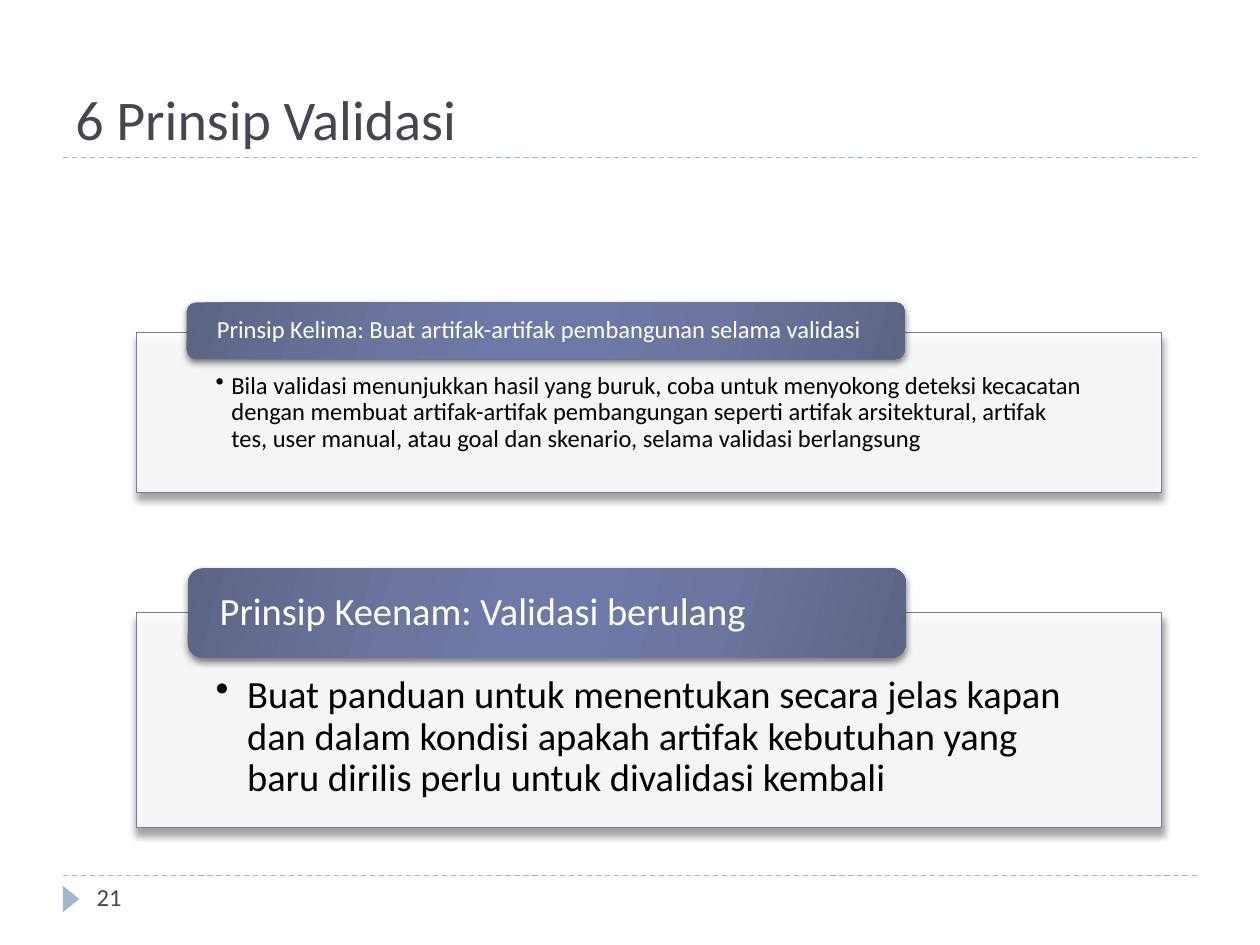
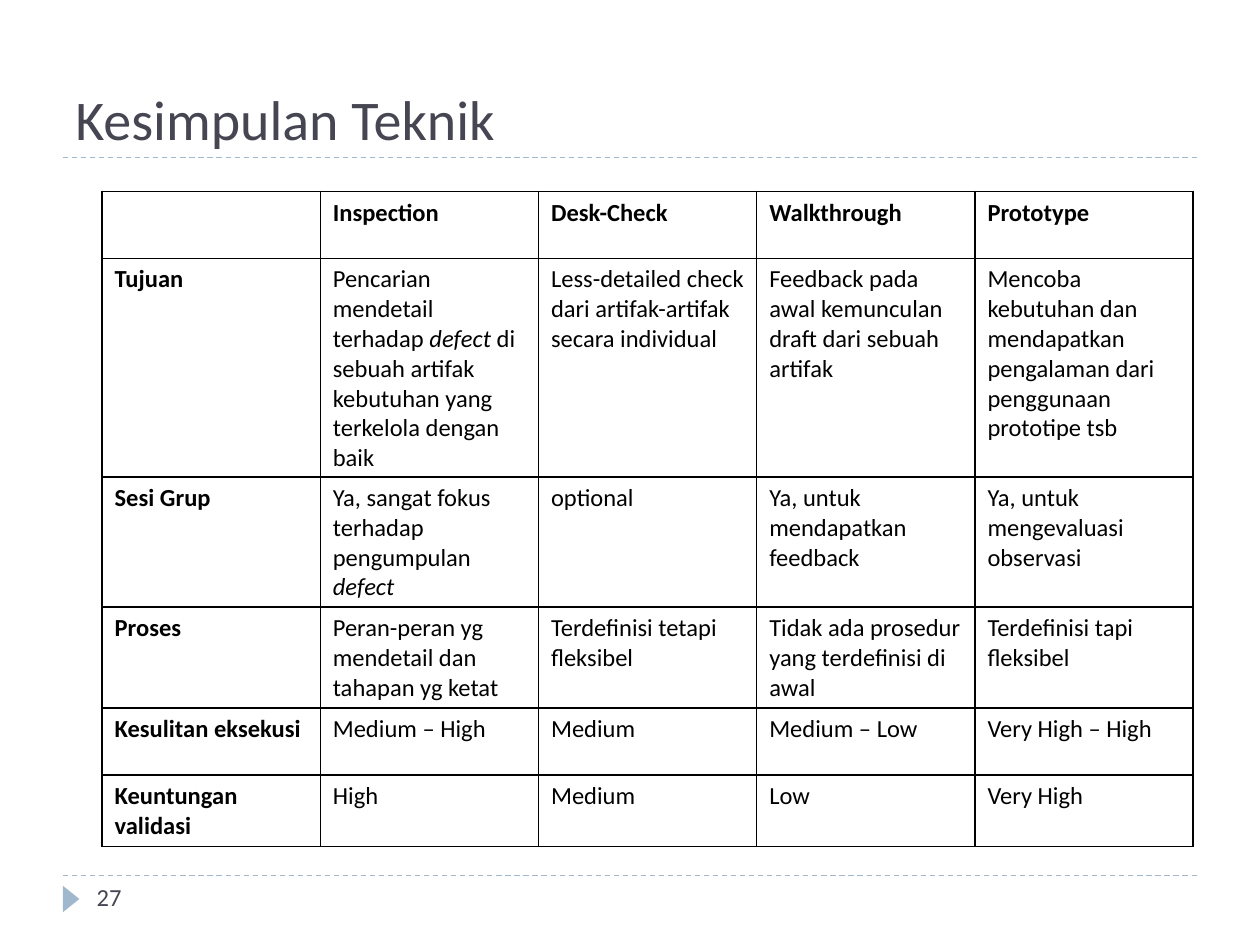
from dataclasses import dataclass
from typing import Any

from lxml.etree import SubElement as Sub
from pptx import Presentation
from pptx.dml.color import RGBColor as Rgb
from pptx.enum.dml import MSO_LINE_DASH_STYLE as Dash
from pptx.enum.shapes import MSO_CONNECTOR as Conn, MSO_SHAPE as Form
from pptx.enum.text import MSO_ANCHOR as Anchor, PP_ALIGN as Align
from pptx.oxml.ns import qn
from pptx.util import Pt

HUES = {
    "title": "464653", "rule": "9FB8CD", "edge": "727CA3",
    "ink": "000000", "paper": "FFFFFF",
    "dark": "5D6585", "mid": "6B759E", "light": "6E79A7",
}
STOPS = [(0, "dark"), (30, "mid"), (45, "light"),
         (55, "light"), (73, "mid"), (100, "dark")]
FONT = "Calibri"
LEFT, RIGHT = 36, 684
RULES = (500.4, 90)


@dataclass
class Box:
    x: float
    y: float
    w: float
    h: float

    def pts(self) -> list[Pt]:
        return [Pt(v) for v in (self.x, self.y, self.w, self.h)]


@dataclass
class Shade:
    alpha: int
    blur: float
    dist: float


@dataclass
class Panel:
    head: str
    body: str
    size: int
    tab: Box
    card: Box
    top: float
    hang: float


CARD_SHADE = Shade(40, 4, 3.4)
TAB_SHADE = Shade(50, 4, 2)
PANELS = [
    Panel("Prinsip Kelima: Buat artifak-artifak pembangunan selama validasi",
          "Bila validasi menunjukkan hasil yang buruk, coba untuk menyokong "
          "deteksi kecacatan dengan membuat artifak-artifak pembangungan "
          "seperti artifak arsitektural, artifak tes, user manual, atau goal "
          "dan skenario, selama validasi berlangsung",
          14, Box(106.6, 172.8, 410.4, 32.4), Box(77.8, 190.1, 586, 91.4), 23, 9),
    Panel("Prinsip Keenam: Validasi berulang",
          "Buat panduan untuk menentukan secara jelas kapan dan dalam kondisi "
          "apakah artifak kebutuhan yang baru dirilis perlu untuk divalidasi "
          "kembali",
          22, Box(107.3, 324.7, 410.4, 51.1), Box(77.8, 349.9, 586, 123.1), 36, 18),
]
ROWS = [
    (38.2, ["", "Inspection", "Desk-Check", "Walkthrough", "Prototype"]),
    (103, ["Tujuan",
           "Pencarian mendetail terhadap *defect *di sebuah artifak kebutuhan "
           "yang terkelola dengan baik",
           "Less-detailed check dari artifak-artifak secara individual",
           "Feedback pada awal kemunculan draft dari sebuah artifak",
           "Mencoba kebutuhan dan mendapatkan pengalaman dari penggunaan "
           "prototipe tsb"]),
    (72, ["Sesi Grup", "Ya, sangat fokus terhadap pengumpulan *defect*",
          "optional", "Ya, untuk mendapatkan feedback",
          "Ya, untuk mengevaluasi observasi"]),
    (56.2, ["Proses", "Peran-peran yg mendetail dan tahapan yg ketat",
            "Terdefinisi tetapi fleksibel",
            "Tidak ada prosedur yang terdefinisi di awal",
            "Terdefinisi tapi fleksibel"]),
    (38.2, ["Kesulitan eksekusi", "Medium – High", "Medium", "Medium – Low",
            "Very High – High"]),
    (40.3, ["Keuntungan validasi", "High", "Medium", "Low", "Very High"]),
]
COL = 124.7


def tint(key: str) -> Rgb:
    return Rgb.from_string(HUES[key])


def put(item: Any, vals: dict[str, Any]) -> None:
    for name, val in vals.items():
        setattr(item, name, val)


def write(frame: Any, text: str, size: int, hue: str, bold: bool = False) -> Any:
    para = frame.paragraphs[0]
    para.alignment = Align.LEFT
    for i, part in enumerate(text.split("*")):
        if part:
            run = para.add_run()
            run.text = part
            put(run.font, {"name": FONT, "size": Pt(size), "bold": bold,
                           "italic": i % 2 == 1})
            run.font.color.rgb = tint(hue)
    return para


def label(slide: Any, box: Box, text: str, size: int, anchor: Any) -> None:
    frame = slide.shapes.add_textbox(*box.pts()).text_frame
    put(frame, {"word_wrap": True, "vertical_anchor": anchor})
    write(frame, text, size, "title")


def shape(slide: Any, form: Any, box: Box, hue: str) -> Any:
    item = slide.shapes.add_shape(form, *box.pts())
    item.shadow.inherit = False
    item.fill.solid()
    item.fill.fore_color.rgb = tint(hue)
    item.line.fill.background()
    return item


def solid(node: Any, hue: str, alpha: int) -> None:
    clr = Sub(node, qn("a:srgbClr"), val=HUES[hue])
    Sub(clr, qn("a:alpha"), val=str(alpha * 1000))


def cast(item: Any, shade: Shade) -> None:
    fx = item._element.spPr.find(qn("a:effectLst"))
    node = Sub(fx, qn("a:outerShdw"), blurRad=str(Pt(shade.blur)),
               dist=str(Pt(shade.dist)), dir="5400000", rotWithShape="0")
    solid(node, "ink", shade.alpha)


def blend(item: Any) -> None:
    item.fill.gradient()
    item.fill.gradient_angle = 344
    stops = item._element.spPr.find(qn("a:gradFill")).find(qn("a:gsLst"))
    for old in list(stops):
        stops.remove(old)
    for pos, hue in STOPS:
        solid(Sub(stops, qn("a:gs"), pos=str(pos * 1000)), hue, 100)


def inset(frame: Any, side: float, top: float, low: float, anchor: Any) -> None:
    put(frame, {"word_wrap": True, "vertical_anchor": anchor,
                "margin_left": Pt(side), "margin_right": Pt(side),
                "margin_top": Pt(top), "margin_bottom": Pt(low)})


def panel(slide: Any, spec: Panel) -> None:
    card = shape(slide, Form.RECTANGLE, spec.card, "paper")
    clr = card._element.spPr.find(qn("a:solidFill"))[0]
    Sub(clr, qn("a:alpha"), val="90000")
    card.line.color.rgb = tint("edge")
    card.line.width = Pt(0.75)
    cast(card, CARD_SHADE)
    inset(card.text_frame, 45.4, spec.top, 8, Anchor.TOP)
    para = write(card.text_frame, spec.body, spec.size, "ink")
    para.line_spacing = 0.9
    props = para._p.get_or_add_pPr()
    props.set("marL", str(Pt(spec.hang)))
    props.set("indent", str(-Pt(spec.hang)))
    Sub(props, qn("a:buChar"), char="•")

    tab = shape(slide, Form.ROUNDED_RECTANGLE, spec.tab, "mid")
    blend(tab)
    cast(tab, TAB_SHADE)
    inset(tab.text_frame, 15.8, 0, 0, Anchor.MIDDLE)
    write(tab.text_frame, spec.head, spec.size, "paper").line_spacing = 0.9


def frame_cell(cell: Any) -> None:
    cell.fill.background()
    props = cell._tc.get_or_add_tcPr()
    for i, side in enumerate(("lnL", "lnR", "lnT", "lnB")):
        line = Sub(props, qn(f"a:{side}"), w=str(Pt(1)))
        solid(Sub(line, qn("a:solidFill")), "ink", 100)
        props.insert(i, line)


def table(slide: Any) -> None:
    cols = len(ROWS[0][1])
    box = Box(58.3, 109.4, COL * cols, sum(high for high, _ in ROWS))
    grid = slide.shapes.add_table(len(ROWS), cols, *box.pts()).table
    put(grid, {"first_row": False, "horz_banding": False})
    for col in grid.columns:
        col.width = Pt(COL)
    for r, (high, texts) in enumerate(ROWS):
        grid.rows[r].height = Pt(high)
        for c, text in enumerate(texts):
            cell = grid.cell(r, c)
            frame_cell(cell)
            write(cell.text_frame, text, 14, "ink", r == 0 or c == 0)


def base(deck: Any, title: str, num: str) -> Any:
    slide = deck.slides.add_slide(deck.slide_layouts[6])
    for y in RULES:
        rule = slide.shapes.add_connector(
            Conn.STRAIGHT, Pt(LEFT), Pt(y), Pt(RIGHT), Pt(y))
        put(rule.line, {"width": Pt(0.75), "dash_style": Dash.DASH})
        rule.line.color.rgb = tint("rule")
        Sub(rule._element.spPr, qn("a:effectLst"))
    mark = shape(slide, Form.ISOSCELES_TRIANGLE, Box(33.1, 509, 15.1, 9.4), "rule")
    mark.rotation = 90
    label(slide, Box(LEFT, 12.2, RIGHT - LEFT, 77.8), title, 32, Anchor.BOTTOM)
    label(slide, Box(48.2, 500.4, 156, 28.8), num, 14, Anchor.TOP)
    return slide


def main() -> None:
    deck = Presentation()
    put(deck, {"slide_width": Pt(720), "slide_height": Pt(540)})
    rules = base(deck, "6 Prinsip Validasi", "21")
    for spec in PANELS:
        panel(rules, spec)
    table(base(deck, "Kesimpulan Teknik", "27"))
    deck.save("out.pptx")


if __name__ == "__main__":
    main()
